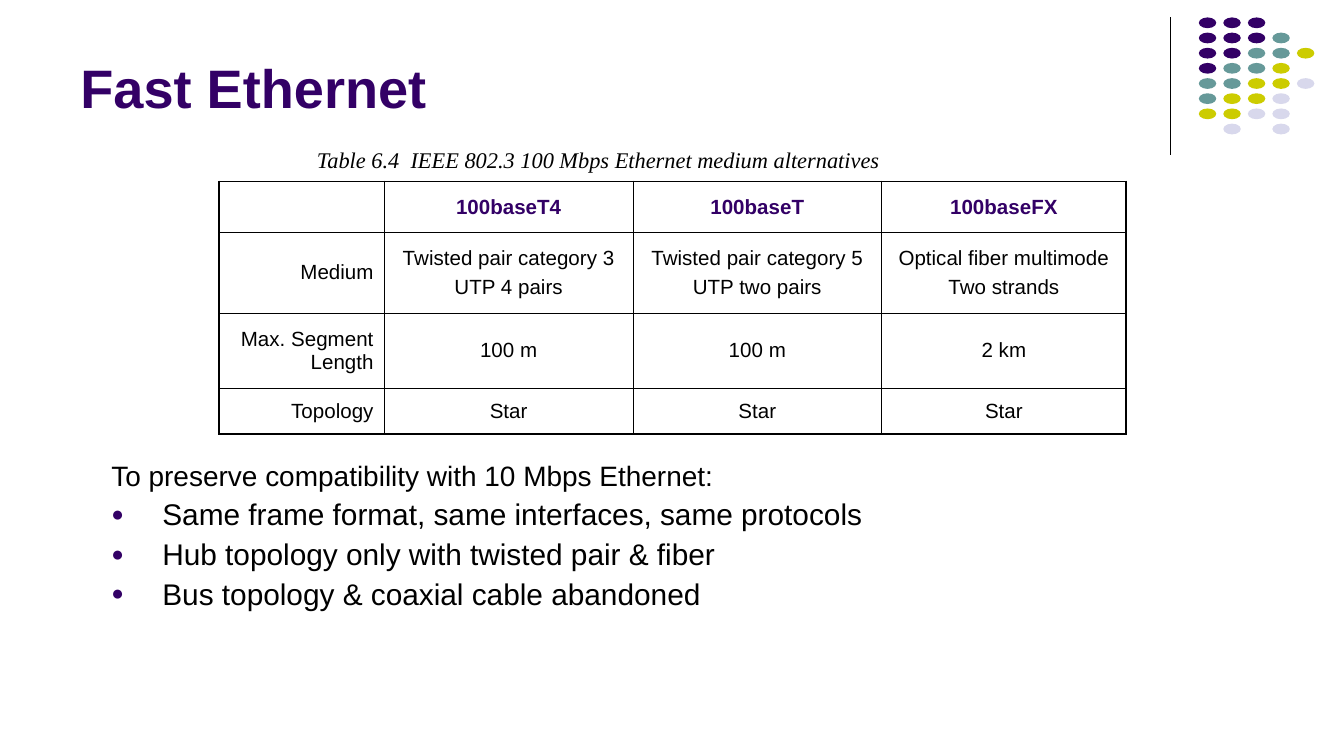
import pptx
import pptx.dml.color
import pptx.enum.shapes
import pptx.enum.text
import pptx.oxml
import pptx.oxml.ns
import pptx.util
from lxml import etree
from pptx.util import Inches

PURPLE, TEAL, YELLOW, LAVENDER, BLACK = "330066", "669999", "CCCC00", "D8D8EC", "000000"
ALIGN = pptx.enum.text.PP_ALIGN
ANCHOR = pptx.enum.text.MSO_ANCHOR
qn = pptx.oxml.ns.qn


def color(value):
    return pptx.dml.color.RGBColor.from_string(value)


def add_run(paragraph, text, size, value=BLACK, name="Arial", bold=False, italic=False):
    run = paragraph.add_run()
    run.text = text
    run.font.size = pptx.util.Pt(size)
    run.font.name = name
    run.font.bold = bold
    run.font.italic = italic
    run.font.color.rgb = color(value)


presentation = pptx.Presentation()
presentation.slide_width = Inches(10)
presentation.slide_height = Inches(10 * 9 / 16)
slide = presentation.slides.add_slide(presentation.slide_layouts[6])

# Corner decoration: a vertical rule and a grid of dots
rule = slide.shapes.add_connector(
    pptx.enum.shapes.MSO_CONNECTOR.STRAIGHT,
    Inches(8.71), Inches(0.13), Inches(8.71), Inches(1.15))
rule.line.color.rgb = color(BLACK)
rule.line.width = pptx.util.Pt(0.75)
etree.SubElement(rule._element.spPr, qn("a:effectLst"))

dot_colors = {"P": PURPLE, "T": TEAL, "Y": YELLOW, "L": LAVENDER}
dot_rows = ["PPP", "PPPT", "PPTTY", "PTTY", "TTYYL", "TYYL", "YYLL", " L L"]
column_step, row_step = 0.73 / 4, 0.79 / 7
dots = slide.shapes.add_group_shape()
for row_index, dot_row in enumerate(dot_rows):
    for column_index, letter in enumerate(dot_row):
        if letter == " ":
            continue
        dot = dots.shapes.add_shape(
            pptx.enum.shapes.MSO_SHAPE.OVAL,
            Inches(8.92 + column_step * column_index), Inches(0.13 + row_step * row_index),
            Inches(0.13), Inches(0.08))
        dot.shadow.inherit = False
        dot.fill.solid()
        dot.fill.fore_color.rgb = color(dot_colors[letter])
        dot.line.fill.background()

# Title
title = slide.shapes.add_textbox(Inches(0.5), Inches(0.1), Inches(8.25), Inches(0.84))
title.text_frame.word_wrap = True
title.text_frame.vertical_anchor = ANCHOR.BOTTOM
add_run(title.text_frame.paragraphs[0], "Fast Ethernet", 29, PURPLE, bold=True)

# Table of medium alternatives
rows = [
    ["", "100baseT4", "100baseT", "100baseFX"],
    ["Medium", "Twisted pair category 3\nUTP 4 pairs",
     "Twisted pair category 5\nUTP two pairs", "Optical fiber multimode\nTwo strands"],
    ["Max. Segment Length", "100 m", "100 m", "2 km"],
    ["Topology", "Star", "Star", "Star"],
]
column_widths = [1.23, 1.85, 1.85, 1.82]
row_heights = [0.38, 0.6, 0.56, 0.34]
last_row, last_column = len(rows) - 1, len(column_widths) - 1
table_frame = slide.shapes.add_table(
    len(rows), len(column_widths), Inches(1.63), Inches(1.35),
    Inches(sum(column_widths)), Inches(sum(row_heights)))
table = table_frame.table
table.first_row = False
table.horz_banding = False
for column, width in zip(table.columns, column_widths):
    column.width = Inches(width)
for row, height in zip(table.rows, row_heights):
    row.height = Inches(height)

for row_index, texts in enumerate(rows):
    for column_index, text in enumerate(texts):
        cell = table.cell(row_index, column_index)
        cell.vertical_anchor = ANCHOR.MIDDLE
        cell.margin_left = cell.margin_right = Inches(0.08)
        cell.margin_top = cell.margin_bottom = Inches(0.05)
        is_header = row_index == 0
        for line_index, line_text in enumerate(text.split("\n")):
            if line_index:
                paragraph = cell.text_frame.add_paragraph()
                paragraph.space_before = pptx.util.Pt(2.8)
            else:
                paragraph = cell.text_frame.paragraphs[0]
            paragraph.alignment = ALIGN.CENTER if column_index else ALIGN.RIGHT
            if line_text:
                add_run(paragraph, line_text, 11, PURPLE if is_header else BLACK, bold=is_header)
            else:
                etree.SubElement(paragraph._p, qn("a:endParaRPr"), sz="1100")
        outer_edges = {
            "lnL": column_index == 0, "lnR": column_index == last_column,
            "lnT": row_index == 0, "lnB": row_index == last_row,
        }
        properties = cell._tc.get_or_add_tcPr()
        for edge, is_outer in outer_edges.items():
            border = etree.SubElement(
                properties, qn(f"a:{edge}"), w=str(pptx.util.Pt(1.08 if is_outer else 0.45)))
            border_fill = etree.SubElement(border, qn("a:solidFill"))
            etree.SubElement(border_fill, qn("a:srgbClr"), val=BLACK)
        cell.fill.background()

# Table caption
caption = slide.shapes.add_textbox(Inches(2.26), Inches(1.04), Inches(4.41), Inches(0.3))
caption.text_frame.word_wrap = False
caption.text_frame.vertical_anchor = ANCHOR.MIDDLE
add_run(caption.text_frame.paragraphs[0],
        "Table 6.4  IEEE 802.3 100 Mbps Ethernet medium alternatives",
        12, name="Times New Roman", italic=True)

# Compatibility notes
notes = slide.shapes.add_textbox(Inches(0.73), Inches(3.39), Inches(7.88), Inches(1.22))
notes.text_frame.word_wrap = True
introduction = notes.text_frame.paragraphs[0]
introduction.line_spacing = 0.9
add_run(introduction, "To preserve compatibility with 10 Mbps Ethernet:", 15)
for text in ["Same frame format, same interfaces, same protocols",
             "Hub topology only with twisted pair & fiber",
             "Bus topology & coaxial cable abandoned"]:
    paragraph = notes.text_frame.add_paragraph()
    properties = paragraph._p.get_or_add_pPr()
    properties.set("marL", str(Inches(0.38)))
    properties.set("indent", str(Inches(-0.38)))
    bullet_color = etree.SubElement(properties, qn("a:buClr"))
    etree.SubElement(bullet_color, qn("a:srgbClr"), val=PURPLE)
    etree.SubElement(properties, qn("a:buSzPct"), val="70000")
    etree.SubElement(properties, qn("a:buFont"), typeface="Arial")
    etree.SubElement(properties, qn("a:buChar"), char="●")
    paragraph.line_spacing = 0.9
    paragraph.space_before = pptx.util.Pt(4)
    add_run(paragraph, text, 16)

presentation.save("out.pptx")
